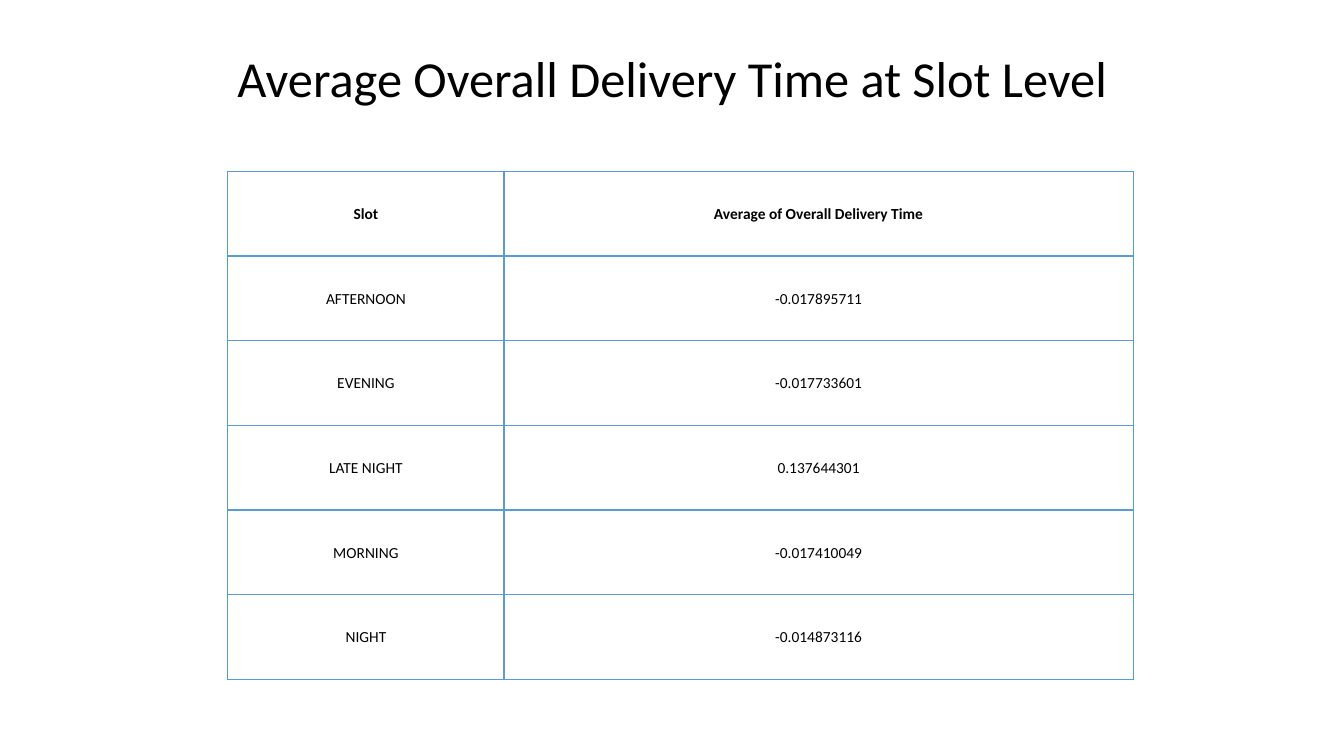
from dataclasses import dataclass

from lxml.etree import SubElement
from pptx import Presentation
from pptx.dml.color import RGBColor
from pptx.enum.text import MSO_ANCHOR, PP_ALIGN
from pptx.oxml.ns import qn
from pptx.util import Inches, Pt

TITLE = "Average Overall Delivery Time at Slot Level"
ROWS = [
    ("Slot", "Average of Overall Delivery Time"),
    ("AFTERNOON", "-0.017895711"),
    ("EVENING", "-0.017733601"),
    ("LATE NIGHT", "0.137644301"),
    ("MORNING", "-0.017410049"),
    ("NIGHT", "-0.014873116"),
]
WIDTHS = (2.74, 6.24)
HEIGHT = 0.84
LEFT, TOP = 2.26, 1.7


@dataclass(frozen=True)
class Theme:
    font: str = "Calibri"
    ink: str = "000000"
    line: str = "5B9BD5"
    title: int = 36
    body: int = 11
    rule: int = 1


THEME = Theme()


def write(frame, text, size, bold=False):
    """Put one centred run into a text frame."""
    par = frame.paragraphs[0]
    par.alignment = PP_ALIGN.CENTER
    run = par.add_run()
    run.text = text
    run.font.name = THEME.font
    run.font.size = Pt(size)
    run.font.bold = bold
    run.font.color.rgb = RGBColor.from_string(THEME.ink)
    return par


def border(cell):
    """Draw all four sides; lines must come before the fill."""
    props = cell._tc.get_or_add_tcPr()
    for side in ("a:lnL", "a:lnR", "a:lnT", "a:lnB"):
        line = SubElement(props, qn(side), w=str(Pt(THEME.rule)))
        fill = SubElement(line, qn("a:solidFill"))
        SubElement(fill, qn("a:srgbClr"), val=THEME.line)


def add_title(slide):
    box = slide.shapes.add_textbox(
        Inches(0.92), Inches(0.4), Inches(11.5), Inches(0.82))
    frame = box.text_frame
    frame.word_wrap = True
    frame.vertical_anchor = MSO_ANCHOR.MIDDLE
    write(frame, TITLE, THEME.title).line_spacing = 0.9


def add_slots(slide):
    table = slide.shapes.add_table(
        len(ROWS), len(WIDTHS), Inches(LEFT), Inches(TOP),
        Inches(sum(WIDTHS)), Inches(HEIGHT * len(ROWS))).table
    table.first_row = table.horz_banding = False
    for col, width in zip(table.columns, WIDTHS):
        col.width = Inches(width)
    for r, texts in enumerate(ROWS):
        table.rows[r].height = Inches(HEIGHT)
        for c, text in enumerate(texts):
            cell = table.cell(r, c)
            cell.vertical_anchor = MSO_ANCHOR.MIDDLE
            cell.margin_left = cell.margin_right = Inches(0.01)
            cell.margin_top, cell.margin_bottom = Inches(0.01), 0
            border(cell)
            cell.fill.background()
            write(cell.text_frame, text, THEME.body, bold=r == 0)


def main():
    deck = Presentation()
    deck.slide_width, deck.slide_height = Inches(13.33), Inches(7.5)
    slide = deck.slides.add_slide(deck.slide_layouts[6])
    add_title(slide)
    add_slots(slide)
    deck.save("out.pptx")


if __name__ == "__main__":
    main()
